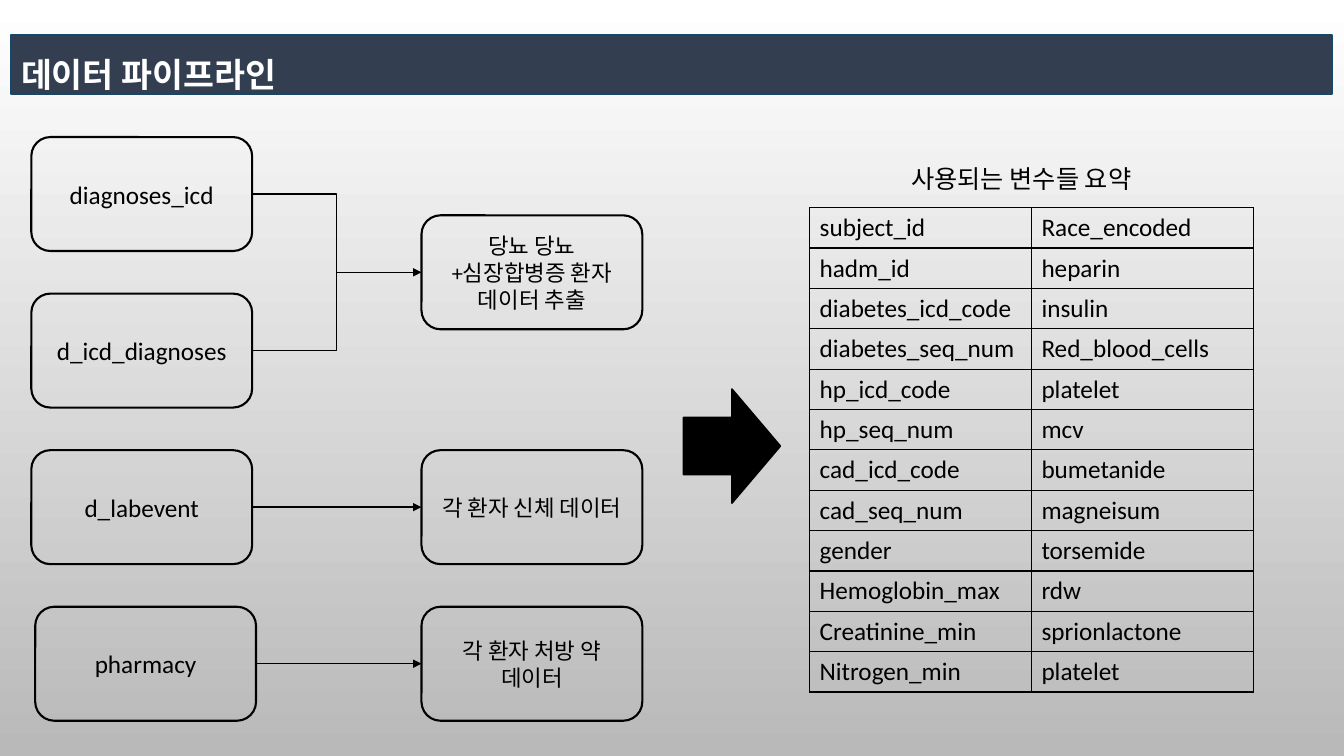
from dataclasses import dataclass

from lxml.etree import SubElement
from pptx import Presentation
from pptx.dml.color import RGBColor
from pptx.enum.shapes import MSO_CONNECTOR, MSO_SHAPE
from pptx.enum.text import MSO_ANCHOR, MSO_AUTO_SIZE, PP_ALIGN
from pptx.oxml.ns import qn
from pptx.shapes.autoshape import Shape
from pptx.slide import Slide
from pptx.table import _Cell
from pptx.text.text import TextFrame
from pptx.util import Inches, Pt

WIDE, HIGH = Inches(13.33), Inches(7.5)


@dataclass(frozen=True)
class Theme:
    font: str = "Calibri"
    ink: str = "000000"
    pale: str = "FFFFFF"
    dusk: str = "B9B9B9"
    navy: str = "333F50"
    edge: str = "154768"
    title: int = 24
    body: int = 18
    note: int = 16


@dataclass(frozen=True)
class Area:
    """A frame in percent of the slide's width and height."""
    left: float
    top: float
    width: float
    height: float

    def emu(self) -> tuple[int, int, int, int]:
        return (int(WIDE * self.left / 100), int(HIGH * self.top / 100),
                int(WIDE * self.width / 100), int(HIGH * self.height / 100))


@dataclass(frozen=True)
class Node:
    text: str
    col: float
    row: float
    size: int

    def area(self) -> Area:
        return Area(2.33 + 29.03 * self.col, 18.13 + 20.71 * self.row, 16.43, 15.07)


@dataclass(frozen=True)
class Link:
    start: str
    end: str
    head: bool = True


THEME = Theme()
BANNER = Area(0.83, 4.67, 98.27, 7.73)
TITLE = Area(0.83, 1.87, 33.01, 10.53)
CAPTION = Area(67.07, 20.93, 19.43, 5.33)
TABLE = Area(60.24, 27.47, 33.01, 64)
ARROW = Area(50.86, 51.47, 7.2, 15.07)

NODES = {
    "codes": Node("diagnoses_icd", 0, 0, THEME.body),
    "names": Node("d_icd_diagnoses", 0, 1, THEME.body),
    "labs": Node("d_labevent", 0, 2, THEME.body),
    "drugs": Node("pharmacy", 0.01, 3, THEME.body),
    "extract": Node("당뇨 당뇨+심장합병증 환자 데이터 추출", 1, 0.5, THEME.note),
    "physical": Node("각 환자 신체 데이터", 1, 2, THEME.note),
    "dosage": Node("각 환자 처방 약 데이터", 1, 3, THEME.note),
}
LINKS = [
    Link("codes", "extract"),
    Link("names", "extract", head=False),
    Link("labs", "physical"),
    Link("drugs", "dosage"),
]
FIELDS = [
    ("subject_id", "Race_encoded"),
    ("hadm_id", "heparin"),
    ("diabetes_icd_code", "insulin"),
    ("diabetes_seq_num", "Red_blood_cells"),
    ("hp_icd_code", "platelet"),
    ("hp_seq_num", "mcv"),
    ("cad_icd_code", "bumetanide"),
    ("cad_seq_num", "magneisum"),
    ("gender", "torsemide"),
    ("Hemoglobin_max", "rdw"),
    ("Creatinine_min", "sprionlactone"),
    ("Nitrogen_min", "platelet"),
]


def color(code: str) -> RGBColor:
    return RGBColor.from_string(code)


def write(frame: TextFrame, text: str, *, size: int = THEME.body, ink: str = THEME.ink,
          bold: bool = False, align: PP_ALIGN = PP_ALIGN.LEFT, space: float = 1) -> None:
    para = frame.paragraphs[0]
    para.alignment = align
    para.line_spacing = space
    run = para.add_run()
    run.text = text
    run.font.name = THEME.font
    run.font.size = Pt(size)
    run.font.bold = bold
    run.font.color.rgb = color(ink)


def draw(slide: Slide, kind: MSO_SHAPE, area: Area, *, fill: str = "",
         line: str = THEME.ink, width: float = 1.25) -> Shape:
    shape = slide.shapes.add_shape(kind, *area.emu())
    shape.shadow.inherit = False
    if fill:
        shape.fill.solid()
        shape.fill.fore_color.rgb = color(fill)
    else:
        shape.fill.background()
    shape.line.color.rgb = color(line)
    shape.line.width = Pt(width)
    return shape


def label(slide: Slide, area: Area, *, wrap: bool) -> TextFrame:
    frame = slide.shapes.add_textbox(*area.emu()).text_frame
    frame.word_wrap = wrap
    frame.auto_size = MSO_AUTO_SIZE.SHAPE_TO_FIT_TEXT
    return frame


def box(slide: Slide, node: Node) -> Shape:
    shape = draw(slide, MSO_SHAPE.ROUNDED_RECTANGLE, node.area(), width=1.5)
    shape.text_frame.word_wrap = True
    shape.text_frame.vertical_anchor = MSO_ANCHOR.MIDDLE
    write(shape.text_frame, node.text, size=node.size, align=PP_ALIGN.CENTER)
    return shape


def join(slide: Slide, start: Shape, end: Shape, head: bool) -> None:
    level = start.top == end.top
    kind = MSO_CONNECTOR.STRAIGHT if level else MSO_CONNECTOR.ELBOW
    wire = slide.shapes.add_connector(kind, 0, 0, 0, 0)
    wire.begin_connect(start, 3)
    wire.end_connect(end, 1)
    wire.line.color.rgb = color(THEME.ink)
    wire.line.width = Pt(1)
    if head:
        SubElement(wire.line._get_or_add_ln(), qn("a:tailEnd"), type="triangle")
    SubElement(wire._element.spPr, qn("a:effectLst"))


def frame_cell(cell: _Cell) -> None:
    """Give the cell four thin borders and no fill."""
    props = cell._tc.get_or_add_tcPr()
    for side in ("lnL", "lnR", "lnT", "lnB"):
        line = SubElement(props, qn(f"a:{side}"), w=str(Pt(1)))
        SubElement(SubElement(line, qn("a:solidFill")), qn("a:srgbClr"), val=THEME.ink)
    cell.fill.background()


def grid(slide: Slide) -> None:
    table = slide.shapes.add_table(len(FIELDS), 2, *TABLE.emu()).table
    table.first_row = table.horz_banding = False
    for row, texts in enumerate(FIELDS):
        for col, text in enumerate(texts):
            cell = table.cell(row, col)
            frame_cell(cell)
            write(cell.text_frame, text)


def main() -> None:
    deck = Presentation()
    deck.slide_width, deck.slide_height = WIDE, HIGH
    slide = deck.slides.add_slide(deck.slide_layouts[6])
    back = slide.background.fill
    back.gradient()
    back.gradient_angle = 270
    for stop, code in zip(back.gradient_stops, (THEME.pale, THEME.dusk)):
        stop.color.rgb = color(code)

    draw(slide, MSO_SHAPE.RECTANGLE, BANNER, fill=THEME.navy, line=THEME.edge)
    title = label(slide, TITLE, wrap=True)
    title.vertical_anchor = MSO_ANCHOR.MIDDLE
    write(title, "데이터 파이프라인", size=THEME.title, ink=THEME.pale, bold=True, space=2)
    grid(slide)
    write(label(slide, CAPTION, wrap=False), "사용되는 변수들 요약")
    boxes = {key: box(slide, node) for key, node in NODES.items()}
    for link in LINKS:
        join(slide, boxes[link.start], boxes[link.end], link.head)
    draw(slide, MSO_SHAPE.RIGHT_ARROW, ARROW, fill=THEME.ink)
    deck.save("out.pptx")


if __name__ == "__main__":
    main()
